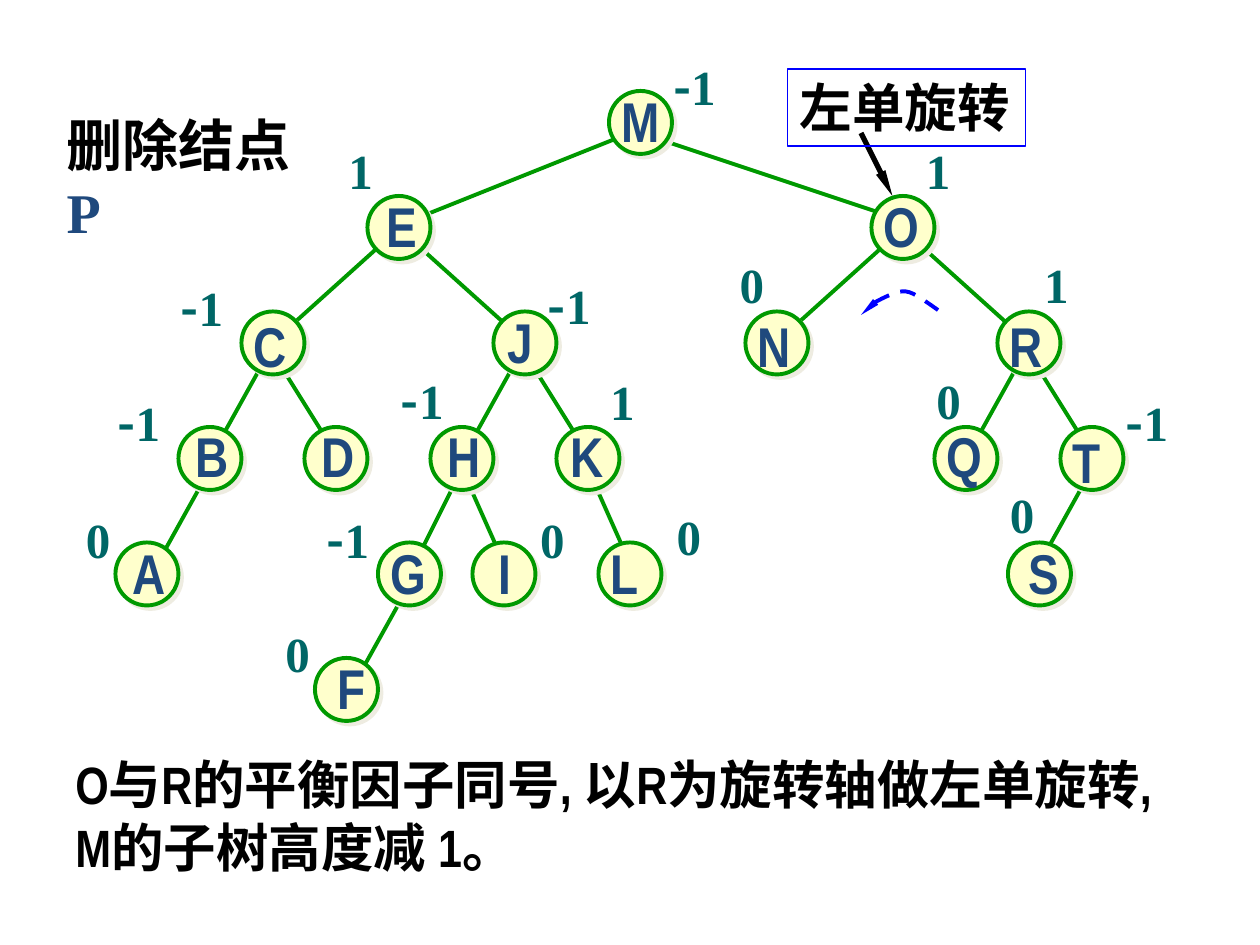
from lxml.etree import SubElement
from pptx import Presentation
from pptx.dml.color import RGBColor
from pptx.enum.dml import MSO_LINE
from pptx.enum.shapes import MSO_CONNECTOR, MSO_SHAPE
from pptx.enum.text import MSO_AUTO_SIZE
from pptx.oxml.ns import qn
from pptx.util import Pt

"""Build a slide showing an AVL tree before a left single rotation."""

CJK = "Noto Sans CJK SC"
SERIF = "Times New Roman"
NARROW = "Arial Narrow"
GREEN, BLUE, NAVY, TEAL, BLACK = "009900", "0000FF", "1F497D", "006666", "000000"


def color(value):
    return RGBColor.from_string(value)


def add_text(left, top, width, height, size, spans, wrap=False):
    box = page.shapes.add_textbox(Pt(left), Pt(top), Pt(width), Pt(height))
    box.text_frame.word_wrap = wrap
    box.text_frame.auto_size = MSO_AUTO_SIZE.SHAPE_TO_FIT_TEXT
    para = box.text_frame.paragraphs[0]
    for text, font, shade in spans:
        span = para.add_run()
        span.text = text
        span.font.size = Pt(size)
        span.font.bold = True
        span.font.name = font
        span.font.color.rgb = color(shade)
        SubElement(span.font._element, qn("a:ea")).set("typeface", CJK)
    return box


deck = Presentation()
deck.slide_width, deck.slide_height = Pt(720), Pt(540)
page = deck.slides.add_slide(deck.slide_layouts[6])

title = add_text(31, 59.75, 163, 45, 32,
                 [("删除结点", SERIF, BLACK), ("P", SERIF, NAVY)], wrap=True)
title.text_frame.margin_right = Pt(20)

edges = [
    (90, 322, 120, 268), (336, 268, 360, 322), (264, 268, 288, 322),
    (234, 328, 264, 268), (594, 322, 624, 268), (588, 202, 618, 250),
    (552, 262, 582, 208), (300, 202, 330, 250), (264, 262, 294, 208),
    (156, 202, 186, 250), (294, 190, 234, 136), (588, 196, 528, 142),
    (450, 190, 510, 136), (366, 76, 510, 124), (204, 388, 234, 334),
    (162, 190, 222, 136), (120, 262, 150, 208), (240, 124, 360, 76),
]
arrow = (492, 76, 510, 112)
connectors = []
for x1, y1, x2, y2 in edges + [arrow]:
    connector = page.shapes.add_connector(
        MSO_CONNECTOR.STRAIGHT, Pt(x1), Pt(y1), Pt(x2), Pt(y2))
    connector.line.color.rgb = color(GREEN)
    connector.line.width = Pt(2.25)
    SubElement(connector._element.spPr, qn("a:effectLst"))
    connectors.append(connector)
pointer = connectors[-1]
pointer.line.color.rgb = color(BLACK)
pointer.line.width = Pt(3)

row_tops = [52, 112, 178, 244, 310, 376]
# name, circle left, row, label left, label top, label width
nodes = [
    ("D", 174, 3, 176.5, 237.5, 34), ("B", 102, 3, 104.5, 237.5, 34),
    ("F", 180, 5, 186, 370, 30), ("H", 246, 3, 248.5, 237.5, 34),
    ("K", 318, 3, 319, 237.5, 34), ("Q", 534, 3, 534, 237.5, 34.5),
    ("T", 606, 3, 606, 240.5, 30), ("G", 216, 4, 216, 304, 34.5),
    ("A", 66, 4, 68.5, 304, 34), ("S", 576, 4, 580.5, 304, 32),
    ("I", 270, 4, 278, 304, 21.5), ("L", 342, 4, 342, 304, 30),
    ("J", 282, 2, 283, 172, 29), ("C", 138, 2, 138, 174.5, 34),
    ("R", 570, 2, 570, 174.5, 34), ("N", 426, 2, 426, 174.5, 34),
    ("O", 498, 1, 498, 106, 34.5), ("E", 210, 1, 214, 106, 32),
    ("M", 348, 0, 348, 46, 36.5),
]
for name, left, row, *label in nodes:
    circle = page.shapes.add_shape(
        MSO_SHAPE.OVAL, Pt(left), Pt(row_tops[row]), Pt(36), Pt(36))
    circle.fill.solid()
    circle.fill.fore_color.rgb = color("FFFFCC")
    circle.line.color.rgb = color(GREEN)
    circle.line.width = Pt(2.25)
    effects = SubElement(circle._element.spPr, qn("a:effectLst"))
    shadow = SubElement(effects, qn("a:outerShdw"), dist=str(Pt(2.8)),
                        dir="2700000", algn="ctr", rotWithShape="0")
    SubElement(shadow, qn("a:srgbClr"), val="EEECE1")
for name, left, row, label_left, label_top, label_width in nodes:
    add_text(label_left, label_top, label_width, 45, 32, [(name, NARROW, NAVY)])

balance_factors = {
    "0": [(42, 287.5), (156, 353), (301.5, 287.5), (379.5, 286),
          (528, 208), (570, 273.5), (415.5, 142)],
    "-1": [(636, 221), (377.5, 29), (306, 154), (96, 155), (60, 221),
           (179.5, 287.5), (222, 208)],
    "1": [(341.5, 209), (589.5, 142), (522, 77), (192, 77)],
}
for factor, places in balance_factors.items():
    spans = [(sign, CJK if sign == "-" else SERIF, TEAL) for sign in factor]
    for left, top in places:
        add_text(left, top, 42.5 if len(factor) == 2 else 29, 41, 28, spans)

curves = [
    [(492, 180), (493.5, 178), (495.5, 176), (498, 174)],
    [(498, 174), (501, 172), (506, 169.5), (510, 168)],
    [(510, 168), (514, 166.5), (517, 165.5), (522, 168)],
    [(522, 168), (527, 170.5), (537, 178), (540, 180)],
]
arc_points = []
for curve in curves:
    for step in range(1, 7):
        t = step / 6
        weights = ((1 - t) ** 3, 3 * t * (1 - t) ** 2, 3 * t ** 2 * (1 - t), t ** 3)
        arc_points.append(tuple(
            Pt(sum(weight * point[axis] for weight, point in zip(weights, curve)))
            for axis in (0, 1)))
builder = page.shapes.build_freeform(Pt(492), Pt(180))
builder.add_line_segments(arc_points, close=False)
rotation = builder.convert_to_shape()
rotation.shadow.inherit = False
rotation.fill.background()
rotation.line.color.rgb = color(BLUE)
rotation.line.width = Pt(2.25)
rotation.line.dash_style = MSO_LINE.DASH
for shape, end in ((pointer, "a:tailEnd"), (rotation, "a:headEnd")):
    SubElement(shape.line._get_or_add_ln(), qn(end), type="triangle", w="sm", len="lg")

callout = add_text(450, 39.5, 136, 44, 30, [("左单旋转", SERIF, BLACK)])
callout.line.color.rgb = color(BLUE)
callout.line.width = Pt(0.75)

add_text(36, 426, 654, 79, 30,
         [("O与R的平衡因子同号, 以R为旋转轴做左单旋转, M的子树高度减 1。", NARROW, BLACK)],
         wrap=True)

deck.save("out.pptx")
